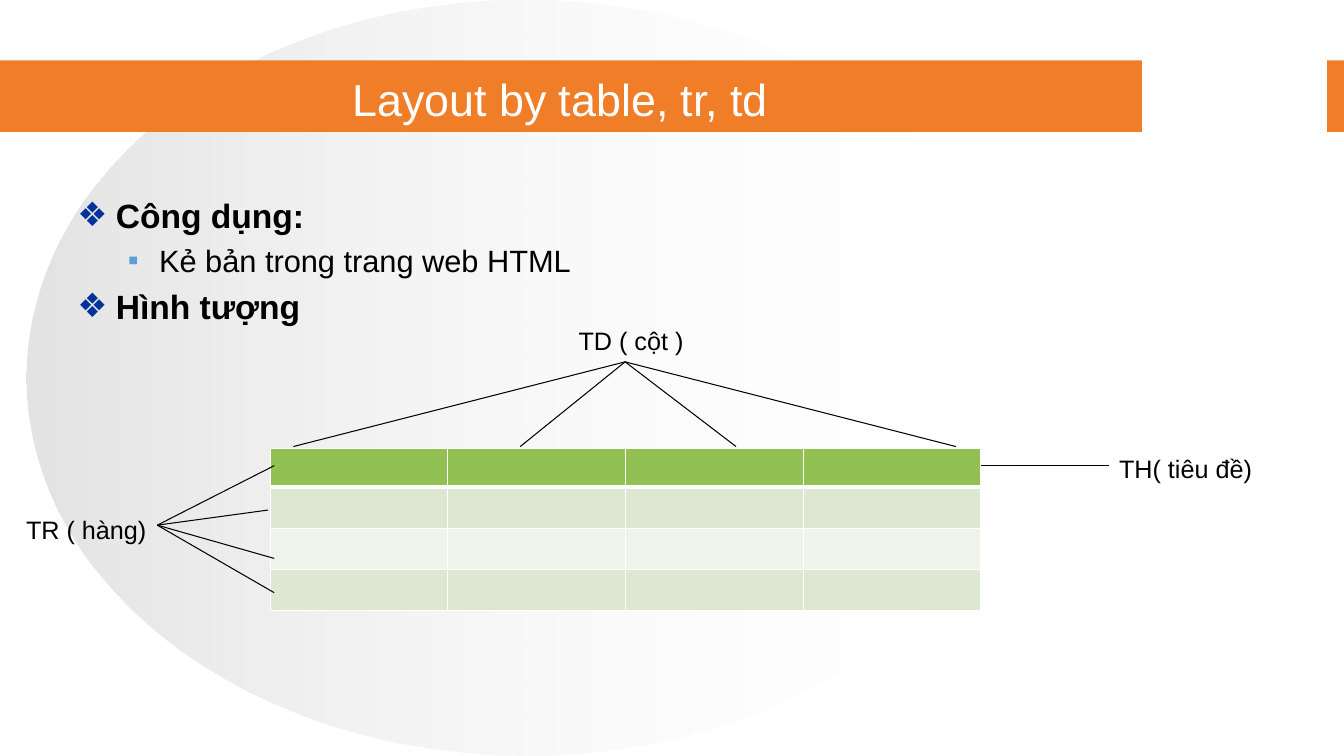
from lxml import etree
from pptx import Presentation
from pptx.dml.color import RGBColor
from pptx.enum.shapes import MSO_CONNECTOR, MSO_SHAPE
from pptx.enum.text import MSO_ANCHOR, PP_ALIGN
from pptx.oxml.ns import qn
from pptx.util import Inches, Pt

ELLIPSE, RECTANGLE = MSO_SHAPE.OVAL, MSO_SHAPE.RECTANGLE
STRAIGHT = MSO_CONNECTOR.STRAIGHT
MIDDLE, CENTER = MSO_ANCHOR.MIDDLE, PP_ALIGN.CENTER

BLACK = RGBColor(0x00, 0x00, 0x00)
WHITE = RGBColor(0xFF, 0xFF, 0xFF)
SILVER = RGBColor(0xC0, 0xC0, 0xC0)
ORANGE = RGBColor(0xF0, 0x7D, 0x27)
HEADER_GREEN = RGBColor(0x93, 0xC0, 0x52)
BAND_GREEN = RGBColor(0xDC, 0xE8, 0xD1)
PALE_GREEN = RGBColor(0xEE, 0xF4, 0xE9)
NAVY = RGBColor(0x00, 0x33, 0x99)
SKY = RGBColor(0x5E, 0x9C, 0xDA)

FONT = "Arial"
SLIDE_W, SLIDE_H = 13.33, 7.5
BAND_TOP, BAND_H = 0.6, 0.71

prs = Presentation()
prs.slide_width, prs.slide_height = Inches(SLIDE_W), Inches(SLIDE_H)
slide = prs.slides.add_slide(prs.slide_layouts[6])
shapes = slide.shapes


def add_text_frame(left, top, width, height):
    frame = shapes.add_textbox(*map(Inches, (left, top, width, height))).text_frame
    frame.word_wrap = True
    return frame


def add_run(paragraph, text, size, color=BLACK, bold=False):
    run = paragraph.add_run()
    run.text = text
    run.font.name, run.font.size, run.font.bold = FONT, Pt(size), bold
    run.font.color.rgb = color


# Backdrop: fading ellipse, orange band and the white gap in it
backdrop = []
for preset, left, top, width, height in [
    (ELLIPSE, 0.26, 0, 9.92, SLIDE_H),
    (RECTANGLE, 0, BAND_TOP, SLIDE_W, BAND_H),
    (RECTANGLE, 11.33, BAND_TOP, 1.83, BAND_H),
]:
    shape = shapes.add_shape(preset, *map(Inches, (left, top, width, height)))
    shape.shadow.inherit = False
    shape.line.fill.background()
    backdrop.append(shape)
ellipse, title_band, band_gap = backdrop

ellipse.fill.gradient()
ellipse.fill.gradient_angle = 0
for stop, position, color in zip(ellipse.fill.gradient_stops, (0, 1), (SILVER, WHITE)):
    stop.position, stop.color.rgb = position, color
fade = ellipse.element.spPr.iter(qn("a:srgbClr"))
for color_element, opacity in zip(list(fade), (44, 0)):
    etree.SubElement(color_element, qn("a:alpha"), val=str(opacity * 1000))

for band, color in ((title_band, ORANGE), (band_gap, WHITE)):
    band.fill.solid()
    band.fill.fore_color.rgb = color
band_gap.line.color.rgb = WHITE
band_gap.line.width = Pt(0.75)

# Title
title = add_text_frame(0.68, 0.67, 9.76, 0.62)
title.vertical_anchor = MIDDLE
title.paragraphs[0].alignment = CENTER
add_run(title.paragraphs[0], "Layout by table, tr, td", 32, WHITE)

# Outline: level, indent, hanging, bullet, bullet colour, size, text
MAIN = (0, 0.38, 0.38, "❖", NAVY, 24)
SUB = (1, 0.81, 0.31, "▪", SKY, 22)
outline = add_text_frame(0.67, 1.88, 12.06, 5.03)
for index, (style, text) in enumerate([
    (MAIN, "Công dụng:"),
    (SUB, "Kẻ bản trong trang web HTML"),
    (MAIN, "Hình tượng"),
]):
    level, indent, hanging, bullet, bullet_color, size = style
    paragraph = outline.add_paragraph() if index else outline.paragraphs[0]
    paragraph.level = level
    if index:
        paragraph.space_before = Pt(5)
    properties = paragraph._p.get_or_add_pPr()
    properties.set("marL", str(Inches(indent)))
    properties.set("indent", str(-Inches(hanging)))
    bullet_fill = etree.SubElement(properties, qn("a:buClr"))
    etree.SubElement(bullet_fill, qn("a:srgbClr"), val=str(bullet_color))
    etree.SubElement(properties, qn("a:buFont"), typeface=FONT)
    etree.SubElement(properties, qn("a:buChar"), char=bullet)
    add_run(paragraph, text, size, bold=level == 0)

# Sample table
TABLE_LEFT, TABLE_TOP, TABLE_W = 2.68, 4.45, 7.05
ROW_HEIGHTS = (0.38, 0.41, 0.41, 0.41)
ROW_FILLS = (HEADER_GREEN, BAND_GREEN, PALE_GREEN, BAND_GREEN)
COLUMNS = 4
table = shapes.add_table(
    len(ROW_HEIGHTS), COLUMNS,
    *map(Inches, (TABLE_LEFT, TABLE_TOP, TABLE_W, sum(ROW_HEIGHTS))),
).table
for row_index, (row, height, color) in enumerate(zip(table.rows, ROW_HEIGHTS, ROW_FILLS)):
    row.height = Inches(height)
    for cell in row.cells:
        cell.margin_top = cell.margin_bottom = 0
        borders = {"a:lnL": 1, "a:lnR": 1,
                   "a:lnT": 3 if row_index == 1 else 1,
                   "a:lnB": 3 if row_index == 0 else 1}
        for side, width in borders.items():
            border = etree.SubElement(cell._tc.get_or_add_tcPr(), qn(side), w=str(Pt(width)))
            border_fill = etree.SubElement(border, qn("a:solidFill"))
            etree.SubElement(border_fill, qn("a:srgbClr"), val=str(WHITE))
        cell.fill.solid()
        cell.fill.fore_color.rgb = color

# Pointers from the labels to columns, rows and header
TD_TIP, TR_TIP = (6.2, 3.59), (1.56, 5.21)
HEADER_Y = 4.62
pointers = [(TD_TIP, (x, 4.43)) for x in (2.91, 5.16, 7.3, 9.48)]
pointers += [(TR_TIP, end) for end in ((2.72, HEADER_Y), (2.66, 5.06), (2.72, 5.54), (2.72, 5.88))]
pointers.append(((TABLE_LEFT + TABLE_W, HEADER_Y), (11, HEADER_Y)))
for start, end in pointers:
    pointer = shapes.add_connector(STRAIGHT, *map(Inches, start + end))
    pointer.line.color.rgb = BLACK
    pointer.line.width = Pt(0.75)
    etree.SubElement(pointer.element.spPr, qn("a:effectLst"))

for text, left, top, width in [
    ("TD ( cột )", 5.64, 3.18, 1.56),
    ("TR ( hàng)", 0.16, 5.05, 1.4),
    ("TH( tiêu đề)", 11, 4.45, 1.72),
]:
    label = add_text_frame(left, top, width, 0.4)
    add_run(label.paragraphs[0], text, 18)

prs.save("out.pptx")
